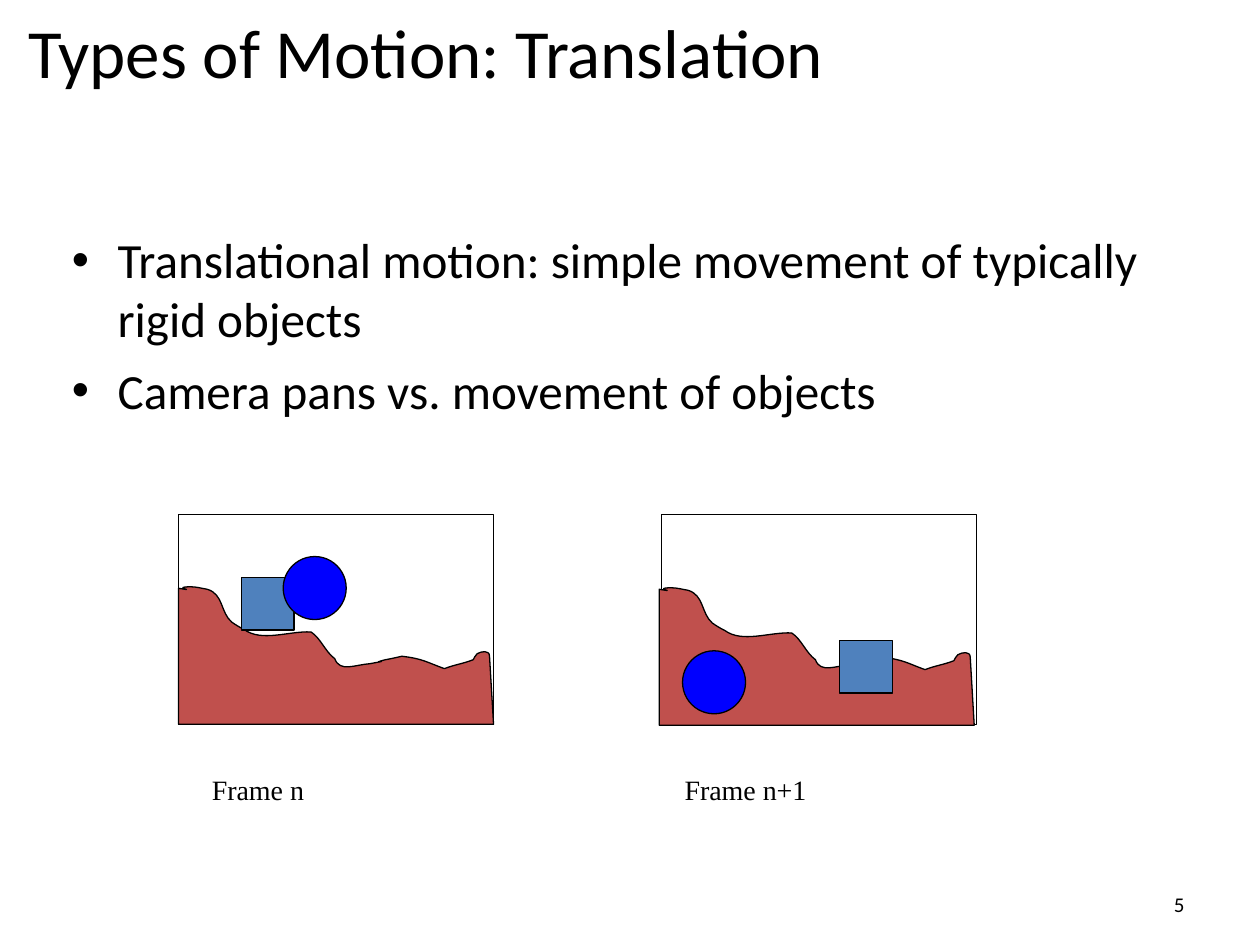
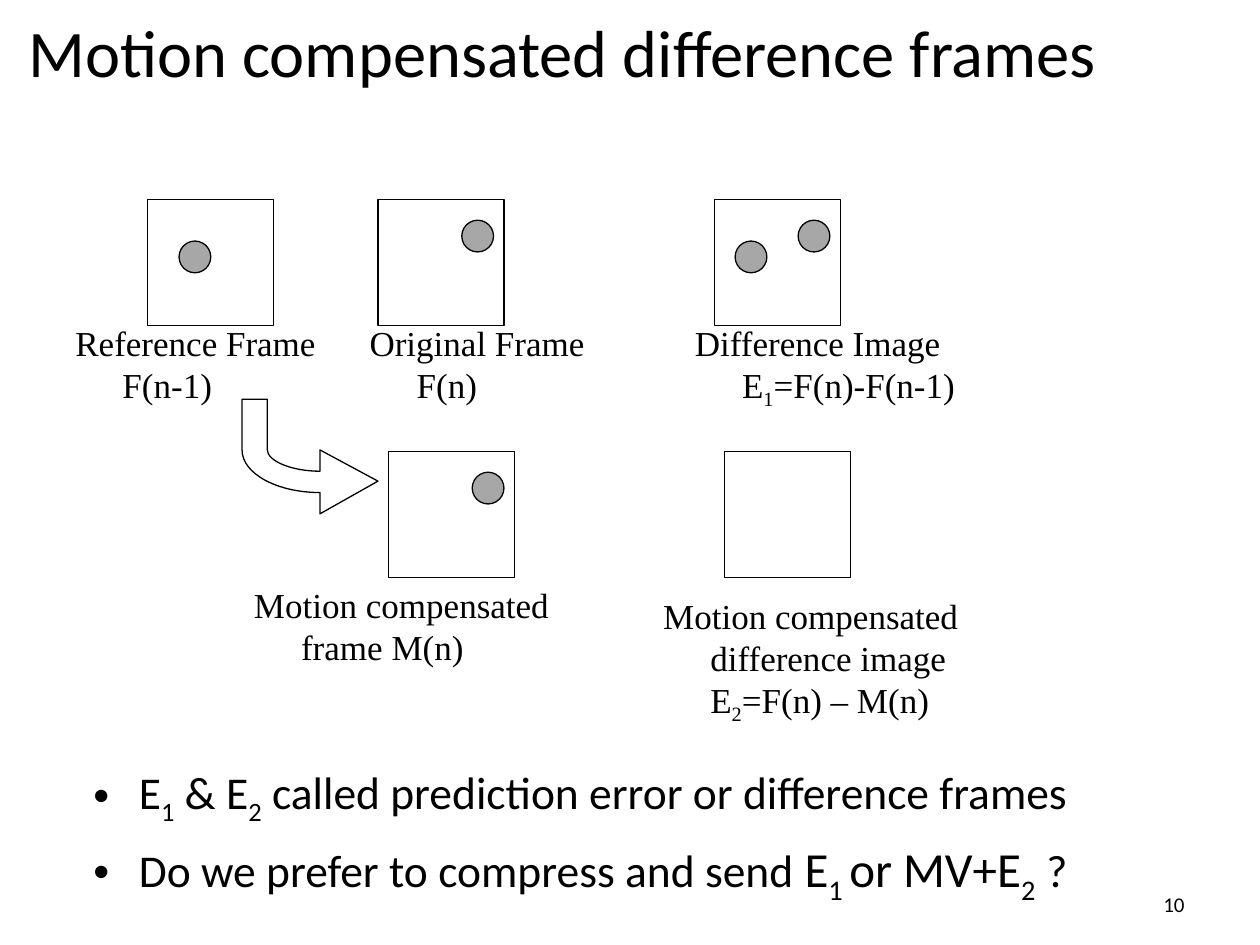
"""Build two slides on translational motion and motion compensated difference frames."""
from lxml.etree import SubElement
from pptx import Presentation
from pptx.dml.color import RGBColor
from pptx.enum.shapes import MSO_SHAPE
from pptx.enum.text import MSO_ANCHOR, MSO_AUTO_SIZE, PP_ALIGN
from pptx.oxml.ns import qn
from pptx.util import Cm, Pt

BLACK = RGBColor(0x00, 0x00, 0x00)
EARTH = RGBColor(0xC0, 0x50, 0x4D)
BLOCK_BLUE = RGBColor(0x4F, 0x81, 0xBD)
BALL_BLUE = RGBColor(0x00, 0x00, 0xFF)
DOT_GREY = RGBColor(0xA7, 0xA7, 0xA7)
SANS = "Calibri"
SERIF = "Times New Roman"

SCENE_TOP, SCENE_WIDTH, SCENE_HEIGHT = 10.37, 6.35, 4.23
BLOCK_SIZE, BALL_SIZE = 1.06, 1.27
FRAME_SIZE, DOT_SIZE = 2.54, 0.64

# Two numbers are a corner; six numbers are a cubic curve.
LAND = [
    (0, 2.77), (0, 0.03),
    (0.43, 0.1, -0.18, 0, 0.25, 0),
    (0.36, 0, 0.46, 0.03, 0.58, 0.05),
    (0.91, 0.15, 0.84, 0.51, 1.07, 0.71),
    (1.14, 0.76, 1.22, 0.81, 1.32, 0.86),
    (1.68, 1.12, 2.21, 0.89, 2.67, 0.91),
    (2.87, 1.04, 2.95, 1.3, 3.15, 1.45),
    (3.25, 1.73, 3.56, 1.57, 3.86, 1.55),
    (4.39, 1.45, 3.78, 1.57, 4.17, 1.47),
    (4.29, 1.45, 4.5, 1.4, 4.5, 1.4),
    (4.93, 1.45, 5, 1.52, 5.36, 1.65),
    (5.56, 1.57, 5.74, 1.55, 5.94, 1.47),
    (5.97, 1.45, 5.97, 1.37, 6.02, 1.35),
    (6.1, 1.3, 6.27, 1.27, 6.27, 1.4),
    (6.35, 2.77), (0, 2.77),
]
BENT_ARROW = [
    (2.74, 1.65), (1.57, 2.31), (1.57, 1.88),
    (0.71, 1.88, 0, 1.5, 0, 1.02),
    (0, 0), (0.51, 0), (0.51, 1.02),
    (0.51, 1.24, 0.99, 1.45, 1.57, 1.45),
    (1.57, 1.02),
]


def write(frame, paragraphs, size, font=SANS, align=PP_ALIGN.LEFT, anchor=MSO_ANCHOR.TOP,
          inset=None, hanging=0, bullet=False, gap=0):
    """Fill a text frame; a paragraph is text or (text, size) pieces, {..} is subscript."""
    frame.word_wrap = True
    frame.auto_size = MSO_AUTO_SIZE.NONE
    frame.vertical_anchor = anchor
    if inset is not None:
        frame.margin_left = frame.margin_right = Cm(inset)
        frame.margin_top = frame.margin_bottom = Cm(inset)
    for index, content in enumerate(paragraphs):
        paragraph = frame.add_paragraph() if index else frame.paragraphs[0]
        properties = paragraph._p.get_or_add_pPr()
        if hanging:
            properties.set("marL", str(Cm(hanging)))
            properties.set("indent", str(-Cm(hanging)))
        if bullet:
            SubElement(properties, qn("a:buFont"), typeface="Arial")
            SubElement(properties, qn("a:buChar"), char="•")
        paragraph.alignment = align
        paragraph.space_before = Pt(gap if index else 0)
        pieces = [(content, size)] if isinstance(content, str) else content
        for text, piece_size in pieces:
            for part, words in enumerate(text.replace("}", "{").split("{")):
                if not words:
                    continue
                run = paragraph.add_run()
                run.text = words
                run.font.name = font
                run.font.size = Pt(piece_size)
                run.font.color.rgb = BLACK
                if part % 2:
                    run.font._element.set("baseline", "-25000")


def place(item, left, top, width, height):
    """Move and size a placeholder in centimetres."""
    item.left, item.top, item.width, item.height = map(Cm, (left, top, width, height))


def paint(item, fill):
    """Give a shape its thin black outline and its fill, if any."""
    item.shadow.inherit = False
    item.line.color.rgb = BLACK
    item.line.width = Pt(0.75)
    if fill is None:
        item.fill.background()
    else:
        item.fill.solid()
        item.fill.fore_color.rgb = fill


def add_figure(shapes, kind, left, top, width, height, fill=None):
    """Add an outlined preset shape."""
    paint(shapes.add_shape(kind, *map(Cm, (left, top, width, height))), fill)


def add_outline(shapes, steps, left, top, fill=None):
    """Add a closed outline of corners and cubic curves."""
    corners = [(Cm(left + step[-2]), Cm(top + step[-1])) for step in steps]
    builder = shapes.build_freeform(*corners[0])
    builder.add_line_segments(corners[1:], close=True)
    outline = builder.convert_to_shape()
    segments = list(outline._element.iter(qn("a:lnTo")))
    for segment, step in zip(segments, steps[1:]):
        if len(step) == 6:
            curve = segment.getparent().makeelement(qn("a:cubicBezTo"))
            for x, y in zip(step[::2], step[1::2]):
                SubElement(curve, qn("a:pt"), x=str(Cm(left + x) - outline.left),
                           y=str(Cm(top + y) - outline.top))
            segment.getparent().replace(segment, curve)
    paint(outline, fill)


def add_text(shapes, text, left, top, width, height, size, **style):
    """Add a one-paragraph text box."""
    box = shapes.add_textbox(*map(Cm, (left, top, width, height)))
    write(box.text_frame, [text], size, **style)


def add_caption(shapes, text, left, top, width, height, size=20):
    """Add a serif caption with a hanging indent."""
    add_text(shapes, text, left, top, width, height, size, font=SERIF, hanging=0.95)


def add_slide(deck, title, title_size, number, bullets, bullet_size, body_area):
    """Add a slide with title, bullet list and slide number."""
    slide = deck.slides.add_slide(deck.slide_layouts[1])
    place(slide.shapes.title, 0.39, 0, 22.86, 2.04)
    write(slide.shapes.title.text_frame, [title], title_size,
          anchor=MSO_ANCHOR.MIDDLE, inset=0.18)
    body = slide.placeholders[1]
    place(body, *body_area)
    write(body.text_frame, bullets, bullet_size, inset=0.18, hanging=0.92, bullet=True, gap=7)
    add_text(slide.shapes, number, 18.2, 17.34, 5.93, 1.27, 12,
             align=PP_ALIGN.RIGHT, anchor=MSO_ANCHOR.BOTTOM)
    return slide


def add_scene(slide, caption, left, land, block, ball, caption_shift):
    """Add a grouped video frame with land, block, ball and caption."""
    shapes = slide.shapes.add_group_shape().shapes
    add_figure(shapes, MSO_SHAPE.RECTANGLE, left, SCENE_TOP, SCENE_WIDTH, SCENE_HEIGHT)
    add_outline(shapes, LAND, left + land[0], SCENE_TOP + land[1], EARTH)
    add_figure(shapes, MSO_SHAPE.RECTANGLE, left + block[0], SCENE_TOP + block[1],
               BLOCK_SIZE, BLOCK_SIZE, BLOCK_BLUE)
    add_figure(shapes, MSO_SHAPE.OVAL, left + ball[0], SCENE_TOP + ball[1],
               BALL_SIZE, BALL_SIZE, BALL_BLUE)
    add_caption(shapes, caption, left + caption_shift, 15.45, 5.93, 0.99, size=16)


def add_dot_frame(shapes, left, top, dots, caption, caption_area):
    """Add a square frame with grey dots and its caption."""
    add_figure(shapes, MSO_SHAPE.RECTANGLE, left, top, FRAME_SIZE, FRAME_SIZE)
    for x, y in dots:
        add_figure(shapes, MSO_SHAPE.OVAL, left + x, top + y, DOT_SIZE, DOT_SIZE, DOT_GREY)
    add_caption(shapes, caption, *caption_area)


def build_translation(deck):
    """Build the slide on translation."""
    slide = add_slide(
        deck, "Types of Motion: Translation", 39.4, "5",
        ["Translational motion: simple movement of typically rigid objects",
         "Camera pans vs. movement of objects"],
        28.1, (1.27, 4.45, 22.86, 12.57))
    add_scene(slide, "Frame n", 3.6, (0, 1.46), (1.27, 1.27), (2.11, 0.85), 0.42)
    add_scene(slide, "Frame n+1", 13.34, (-0.05, 1.48), (3.59, 2.54), (0.42, 2.75), 0.21)


def build_difference(deck):
    """Build the slide on difference frames."""
    slide = add_slide(
        deck, "Motion compensated difference frames", 38, "10",
        ["E{1} & E{2} called prediction error or difference frames",
         [("Do we prefer to compress and send ", 26), ("E{1 }or MV+E{2} ", 28), ("?", 26)]],
        26, (1.7, 15.23, 22.86, 3))
    shapes = slide.shapes.add_group_shape().shapes
    old_dot, new_dot = (0.64, 0.84), (1.69, 0.42)
    upper, lower = 4.02, 9.1
    for frame in (
        (2.97, upper, [old_dot], "Reference Frame F(n-1)", (1.27, 6.35, 5.72, 1.96)),
        (7.62, upper, [new_dot], "Original Frame F(n)", (7.2, 6.35, 5.72, 2.11)),
        (14.4, upper, [(0.42, 0.84), new_dot], "Difference Image E{1}=F(n)-F(n-1)",
         (13.76, 6.35, 6.56, 1.96)),
        (7.83, lower, [new_dot], "Motion compensated frame M(n)", (4.87, 11.64, 7.41, 2.11)),
        (14.6, lower, [], "Motion compensated difference image E{2}=F(n) – M(n)",
         (13.12, 11.85, 7.83, 3.05)),
    ):
        add_dot_frame(shapes, *frame)
    add_outline(slide.shapes, BENT_ARROW, 4.88, 8.05)


def main():
    """Build and save the deck."""
    deck = Presentation()
    deck.slide_width, deck.slide_height = Cm(25.4), Cm(19.05)
    build_translation(deck)
    build_difference(deck)
    deck.save("out.pptx")


if __name__ == "__main__":
    main()
